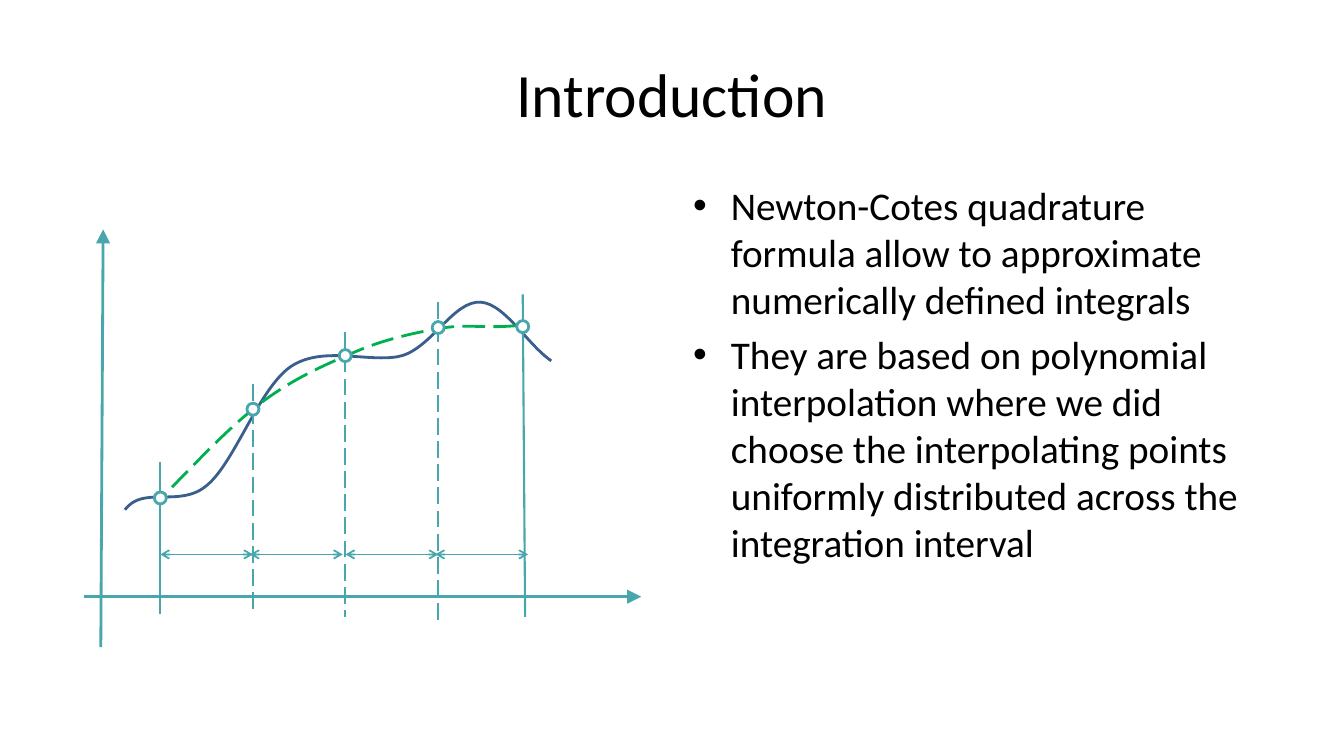
from lxml.etree import SubElement
from pptx import Presentation
from pptx.dml.color import RGBColor
from pptx.enum.dml import MSO_LINE
from pptx.enum.shapes import MSO_CONNECTOR, MSO_SHAPE
from pptx.enum.text import MSO_ANCHOR, PP_ALIGN
from pptx.oxml.ns import qn
from pptx.util import Pt

BLACK = RGBColor(0x00, 0x00, 0x00)
WHITE = RGBColor(0xFF, 0xFF, 0xFF)
TEAL = RGBColor(0x48, 0xA6, 0xAD)
BLUE = RGBColor(0x3A, 0x5F, 0x8C)
GREEN = RGBColor(0x00, 0xB0, 0x50)

AXIS_HEAD = {"type": "triangle", "w": "lg", "len": "lg"}
STEP_HEAD = {"type": "arrow"}

POINTS = [
    "Newton-Cotes quadrature formula allow to approximate numerically defined integrals",
    "They are based on polynomial interpolation where we did choose the "
    "interpolating points uniformly distributed across the integration interval",
]

# Start point, then cubic Bezier segments (two controls and an end), in points
FUNCTION_CURVE = (89.3, 364.2), [
    ((102.2, 346.3), (128.9, 363.6), (148.3, 346.3)),
    ((167.8, 329.8), (185, 277.9), (207.4, 262.1)),
    ((229.7, 247), (260.6, 258.5), (283.7, 254.9)),
    ((306, 251.3), (321.1, 218.9), (339.8, 216)),
    ((358.6, 213.1), (375.1, 244.8), (393.8, 257.8)),
]
INTERPOLANT = (368.6, 232.6), [
    ((345.6, 234.7), (333.4, 231.1), (313.2, 234.7)),
    ((293, 238.3), (270.7, 243.4), (249.1, 253.4)),
    ((226.8, 262.8), (203.8, 273.6), (180.7, 292.3)),
    ((157, 311.8), (141.1, 329.8), (114.5, 356.4)),
]

# Node centre x and y, ordinate top, ordinate foot x and y, ordinate dash
NODES = [
    (114.5, 355.7, 329.8, 114.5, 438.5, None),
    (180.7, 292.3, 274.3, 180.7, 438.5, MSO_LINE.LONG_DASH),
    (246.6, 254, 237.4, 246.6, 440.6, MSO_LINE.LONG_DASH),
    (313, 234, 216, 313, 444.2, MSO_LINE.LONG_DASH),
    (373.4, 233.3, 210.2, 375.1, 440.6, None),
]
NODE_SIZE = 8.6
STEP = 66.2
STEP_STARTS = [114.5, 178.6, 246.8, 311]
STEP_Y = 396


def style_line(line, color, width, dash=None):
    line.color.rgb = color
    line.width = Pt(width)
    if dash:
        line.dash_style = dash


def add_line(slide, start, end, width, dash=None, head=None, tail=None):
    connector = slide.shapes.add_connector(
        MSO_CONNECTOR.STRAIGHT, *[Pt(v) for v in (*start, *end)])
    style_line(connector.line, TEAL, width, dash)
    properties = connector._element.spPr
    outline = properties.find(qn("a:ln"))
    for tag, arrowhead in (("a:headEnd", head), ("a:tailEnd", tail)):
        if arrowhead:
            SubElement(outline, qn(tag), arrowhead)
    SubElement(properties, qn("a:effectLst"))


def add_curve(slide, curve, color, dash=None):
    start, segments = curve
    builder = slide.shapes.build_freeform(Pt(start[0]), Pt(start[1]))
    builder.add_line_segments(
        [(Pt(x), Pt(y)) for *_, (x, y) in segments], close=False)
    graph = builder.convert_to_shape()

    # Turn each straight segment into a Bezier segment
    straights = list(graph._element.spPr.iter(qn("a:lnTo")))
    for straight, segment in zip(straights, segments):
        straight.clear()
        straight.tag = qn("a:cubicBezTo")
        for x, y in segment:
            SubElement(straight, qn("a:pt"),
                       x=str(Pt(x) - graph.left), y=str(Pt(y) - graph.top))

    graph.shadow.inherit = False
    graph.fill.background()
    style_line(graph.line, color, 2, dash)


def add_node(slide, x, y):
    node = slide.shapes.add_shape(
        MSO_SHAPE.OVAL, Pt(x - NODE_SIZE / 2), Pt(y - NODE_SIZE / 2),
        Pt(NODE_SIZE), Pt(NODE_SIZE))
    node.shadow.inherit = False
    node.fill.solid()
    node.fill.fore_color.rgb = WHITE
    style_line(node.line, TEAL, 2)


def add_text(slide, box, lines, size, align, anchor, bulleted=False):
    frame = slide.shapes.add_textbox(*[Pt(v) for v in box]).text_frame
    frame.word_wrap = True
    frame.vertical_anchor = anchor
    for index, line in enumerate(lines):
        paragraph = frame.paragraphs[0] if index == 0 else frame.add_paragraph()
        paragraph.text = line
        paragraph.alignment = align
        if index:
            paragraph.space_before = Pt(size * 0.2)
        if bulleted:
            properties = paragraph._p.get_or_add_pPr()
            properties.set("marL", str(Pt(27)))
            properties.set("indent", str(Pt(-27)))
            SubElement(properties, qn("a:buFont"), typeface="Arial")
            SubElement(properties, qn("a:buChar"), char="•")
        paragraph.font.name = "Calibri"
        paragraph.font.size = Pt(size)
        paragraph.font.color.rgb = BLACK


def main():
    presentation = Presentation()
    presentation.slide_width, presentation.slide_height = Pt(960), Pt(540)
    slide = presentation.slides.add_slide(presentation.slide_layouts[6])

    # Title and explanation
    add_text(slide, (48, 21.6, 864, 90), ["Introduction"], 44,
             PP_ALIGN.CENTER, MSO_ANCHOR.MIDDLE)
    add_text(slide, (488, 126, 424, 356.4), POINTS, 28,
             PP_ALIGN.LEFT, MSO_ANCHOR.TOP, bulleted=True)

    # Axes
    add_line(slide, (60, 426.2), (458, 426.2), 2, tail=AXIS_HEAD)
    add_line(slide, (72, 462.2), (73.7, 163.8), 2, tail=AXIS_HEAD)

    # Function and its interpolating polynomial
    add_curve(slide, FUNCTION_CURVE, BLUE)
    add_curve(slide, INTERPOLANT, GREEN, MSO_LINE.LONG_DASH)

    # Ordinates and interpolation nodes
    for x, y, top, foot_x, foot_y, dash in NODES:
        add_line(slide, (x, top), (foot_x, foot_y), 1.5, dash)
        add_node(slide, x, y)

    # Equal steps between the nodes
    for x in STEP_STARTS:
        add_line(slide, (x, STEP_Y), (x + STEP, STEP_Y), 1.25,
                 head=STEP_HEAD, tail=STEP_HEAD)

    presentation.save("out.pptx")


if __name__ == "__main__":
    main()
